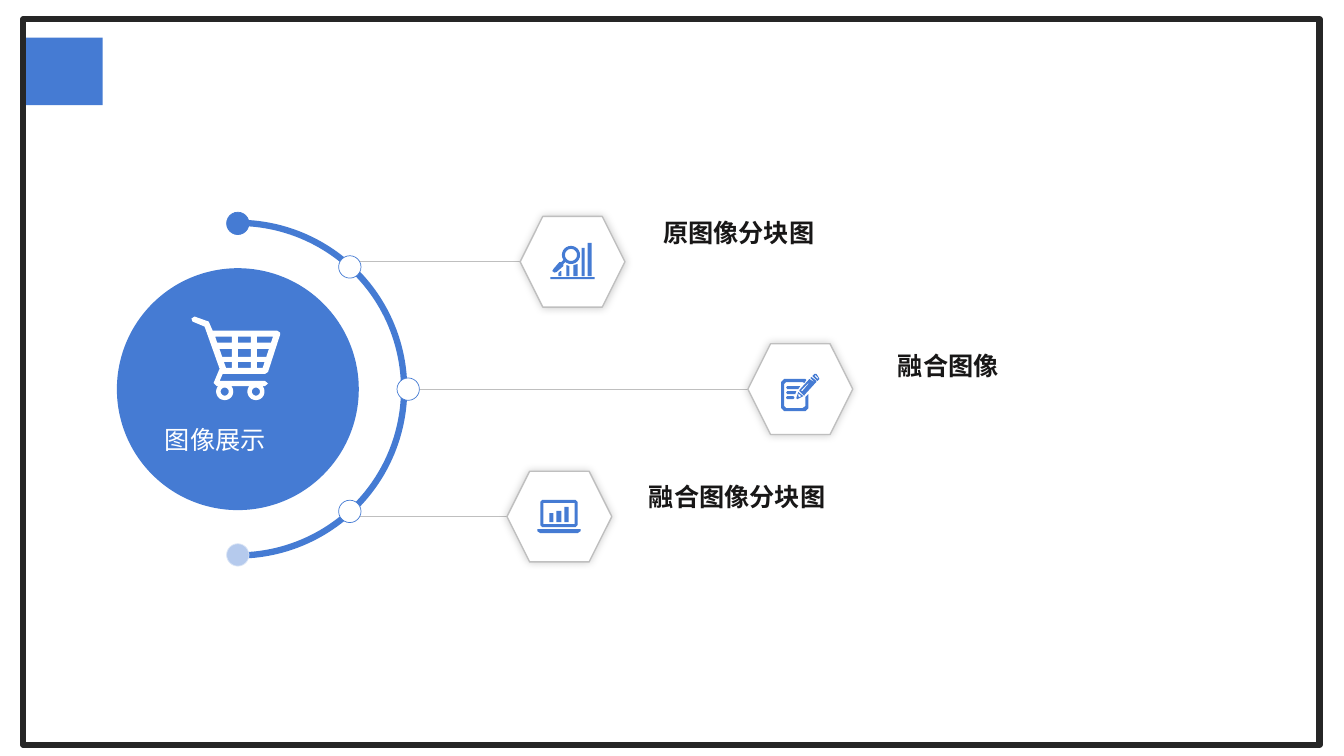
from math import cos, radians, sin

from lxml import etree
from pptx import Presentation
from pptx.dml.color import RGBColor
from pptx.enum.shapes import MSO_CONNECTOR, MSO_SHAPE
from pptx.enum.text import MSO_ANCHOR
from pptx.oxml.ns import qn
from pptx.util import Pt

RECT, OVAL = MSO_SHAPE.RECTANGLE, MSO_SHAPE.OVAL
HEX, ARC = MSO_SHAPE.HEXAGON, MSO_SHAPE.ARC
LINE, MID = MSO_CONNECTOR.STRAIGHT, MSO_ANCHOR.MIDDLE
FONT = "Noto Sans CJK SC"
HUES = {"blue": "457BD3", "pale": "B5CAED", "mist": "DAE5F6", "white": "FFFFFF",
        "gray": "BFBFBF", "dark": "262626", "ink": "181717", "black": "000000"}


def hue(name):
    return RGBColor.from_string(HUES[name])


def bar(left, top, right, low, cut=0):
    if not cut:
        return [(left, top), (right, top), (right, low), (left, low)]
    return [(left + cut, top), (right - cut, top), (right, top + cut), (right, low - cut),
            (right - cut, low), (left + cut, low), (left, low - cut), (left, top + cut)]


def bow(x, y, size, start=0, stop=360):
    turns = [radians(start + (stop - start) * i / 24) for i in range(25)]
    return [(x + size * cos(t), y + size * sin(t)) for t in turns]


def cart():
    wheels = [(64, 74.5), (33, 74.5)]
    frame = [(3, 0), (17, 5), (18, 7), (21, 14), (85, 14), (88, 16), (88, 18), (76, 55),
             (73, 57), (31, 57), (28, 64), (73, 64), (76, 66.5), (73, 69)]
    for x, y in wheels:
        frame += bow(x, y, 8.5, -40, 220)
    frame += [(25, 69), (22, 66), (27, 54), (28, 52), (13, 10), (1, 5), (0, 2)]
    parts = [frame] + [bow(x, y, 4) for x, y in wheels]
    for top, low in [(20, 26), (32, 40), (45, 51)]:
        left, right = [(16.5 + 0.35 * y, 87.5 - 0.33 * y) for y in (top, low)]
        parts += [[(left[0], top), (40, top), (40, low), (right[0], low)],
                  bar(46, top, 59, low),
                  [(65, top), (left[1], top), (right[1], low), (65, low)]]
    return parts


CHART = [bar(0, 34, 44, 36), [(10, 28), (11, 28), (11, 33), (8, 33), (8, 30)],
         [(16, 22), (19, 23), (19, 33), (16, 33)],
         [(23, 22), (27, 21), (27, 33), (23, 33)],
         bar(31, 5, 34, 33), bar(37, 0, 41, 33),
         bow(20.5, 12, 9), bow(20.5, 12, 6),
         [(14.8, 19), (13, 21), (13, 23), (6, 29), (4, 29.5), (2, 28), (3, 26), (9, 19),
          (11, 19), (13, 17)]]
PAD = [[(3, 5), (24, 5), (25, 6), (23, 9), (21, 8), (5, 8), (3, 10), (3, 32), (5, 34),
        (21, 34), (24, 32), (24, 23), (27, 20), (27, 34), (24, 37), (3, 37), (0, 34), (0, 8)],
       [(6, 12), (19, 12), (17, 15), (6, 15), (5, 13.5)],
       [(6, 17), (15, 17), (14, 20), (6, 20), (5, 18.5)], bar(5, 22, 13, 25, 1),
       [(17, 18), (22, 22), (16, 25), (15, 24)], [(17, 19), (17, 22), (18, 23), (20, 22)],
       [(28, 5), (34, 9), (33, 10), (23, 21), (23, 22), (18, 17), (18, 16)],
       [(27, 9), (20, 16), (20, 17), (21, 17), (27, 10)],
       [(30, 3), (35, 7), (35, 8), (34, 9), (29, 4)],
       [(33, 0), (35, 0), (37, 3), (38, 5), (36, 7), (31, 2)],
       [(34, 1), (33, 2), (36, 5), (37, 4)]]
LAPTOP = [[(0, 29), (43, 29), (43, 31), (40, 33), (3, 33), (0, 31)],
          bar(12, 13, 16, 22), bar(19, 11, 24, 22), bar(27, 7, 31, 22),
          bar(3, 0, 40, 27, 2), bar(6, 3, 37, 24)]


class Board:
    """Draw styled elements on one slide, with lengths in points."""

    def __init__(self, deck):
        self.slide = deck.slides.add_slide(deck.slide_layouts[6])
        self.shapes = self.slide.shapes

    def paint(self, item, fill, line=None, width=0.5):
        item.shadow.inherit = False
        if fill:
            item.fill.solid()
            item.fill.fore_color.rgb = hue(fill)
        else:
            item.fill.background()
        if line:
            item.line.color.rgb = hue(line)
            item.line.width = Pt(width)
        else:
            item.line.fill.background()
        return item

    def shape(self, kind, box, fill, line=None, width=0.5):
        item = self.shapes.add_shape(kind, *map(Pt, box))
        return self.paint(item, fill, line, width)

    def round(self, x, y, size, fill, line=None):
        return self.shape(OVAL, (x - size / 2, y - size / 2, size, size), fill, line)

    def arc(self, x, y, size):
        item = self.shape(ARC, (x - size / 2, y - size / 2, size, size), None, "blue", 4.5)
        item.adjustments[0], item.adjustments[1] = 162, 53.8

    def link(self, left, right, y):
        item = self.shapes.add_connector(LINE, Pt(left), Pt(y), Pt(right), Pt(y))
        item.line.color.rgb = hue("gray")
        item.line.width = Pt(0.5)
        etree.SubElement(item._element.spPr, qn("a:effectLst"))

    def hexagon(self, x, y):
        item = self.shape(HEX, (x - 37.45, y - 32.4, 74.9, 64.8), "white", "gray", 1)
        glow = etree.SubElement(item._element.spPr.find(qn("a:effectLst")),
                                qn("a:outerShdw"), blurRad=str(Pt(6)), dist="0",
                                dir="18900000", algn="ctr", rotWithShape="0")
        tint = etree.SubElement(glow, qn("a:srgbClr"), val=HUES["black"])
        etree.SubElement(tint, qn("a:alpha"), val="20000")

    def icon(self, parts, left, top, fill):
        pen = None
        for part in parts:
            spots = [(x * 10, y * 10) for x, y in part]
            if pen is None:
                pen = self.shapes.build_freeform(*spots[0], scale=Pt(0.072))
            else:
                pen.move_to(*spots[0])
            pen.add_line_segments(spots[1:], close=True)
        self.paint(pen.convert_to_shape(Pt(left), Pt(top)), fill)

    def text(self, words, box, color, bold=False, inset=(7.2, 3.6)):
        item = self.shapes.add_textbox(*map(Pt, box))
        frame = item.text_frame
        frame.word_wrap = True
        frame.vertical_anchor = MID
        frame.margin_left = Pt(inset[0])
        frame.margin_top = frame.margin_bottom = Pt(inset[1])
        run = frame.paragraphs[0].add_run()
        run.text = words
        run.font.name, run.font.size, run.font.bold = FONT, Pt(18), bold
        run.font.color.rgb = hue(color)
        etree.SubElement(run._r.get_or_add_rPr(), qn("a:ea"), typeface=FONT)
        return item


def main():
    deck = Presentation()
    deck.slide_width, deck.slide_height = Pt(960), Pt(540)
    board = Board(deck)
    board.shape(RECT, (18, 26.8, 55.4, 48.4), "blue")
    board.shape(RECT, (16.7, 13.7, 925.8, 518.4), None, "dark", 4.5)

    hub, mid = 169.9, 278
    rows = [(256.3, 409, -91, CHART, (393.1, 173.5), "原图像分块图", (466.6, 152.6)),
            (299.5, 571.7, 0, PAD, (558, 267.1), "融合图像", (634.3, 247)),
            (256.3, 399.6, 91, LAPTOP, (383.8, 357.1), "融合图像分块图", (456.5, 340.6))]
    for start, x, drop, parts, spot, words, place in rows:
        board.link(start, x - 37.45, mid + drop)
        board.hexagon(x, mid + drop)
        board.icon(parts, *spot, "blue")
        board.text(words, (*place, 172.8, 27.4), "ink", True)

    board.round(hub, mid, 172.8, "blue")
    board.text("图像展示", (101.5, 303.1, 140.4, 21.6), "white", inset=(16.2, 0))
    board.icon(cart(), 136.8, 226.1, "white")
    board.arc(hub, mid, 237.6)
    dots = [(80, -87.3, "white", "blue"), (121.7, 0, "white", "blue"),
            (80, 87.3, "white", "blue"), (0, -118.4, "blue", "blue"),
            (0, 118.4, "pale", "mist")]
    for shift, drop, fill, line in dots:
        board.round(hub + shift, mid + drop, 16, fill, line)
    deck.save("out.pptx")


if __name__ == "__main__":
    main()
